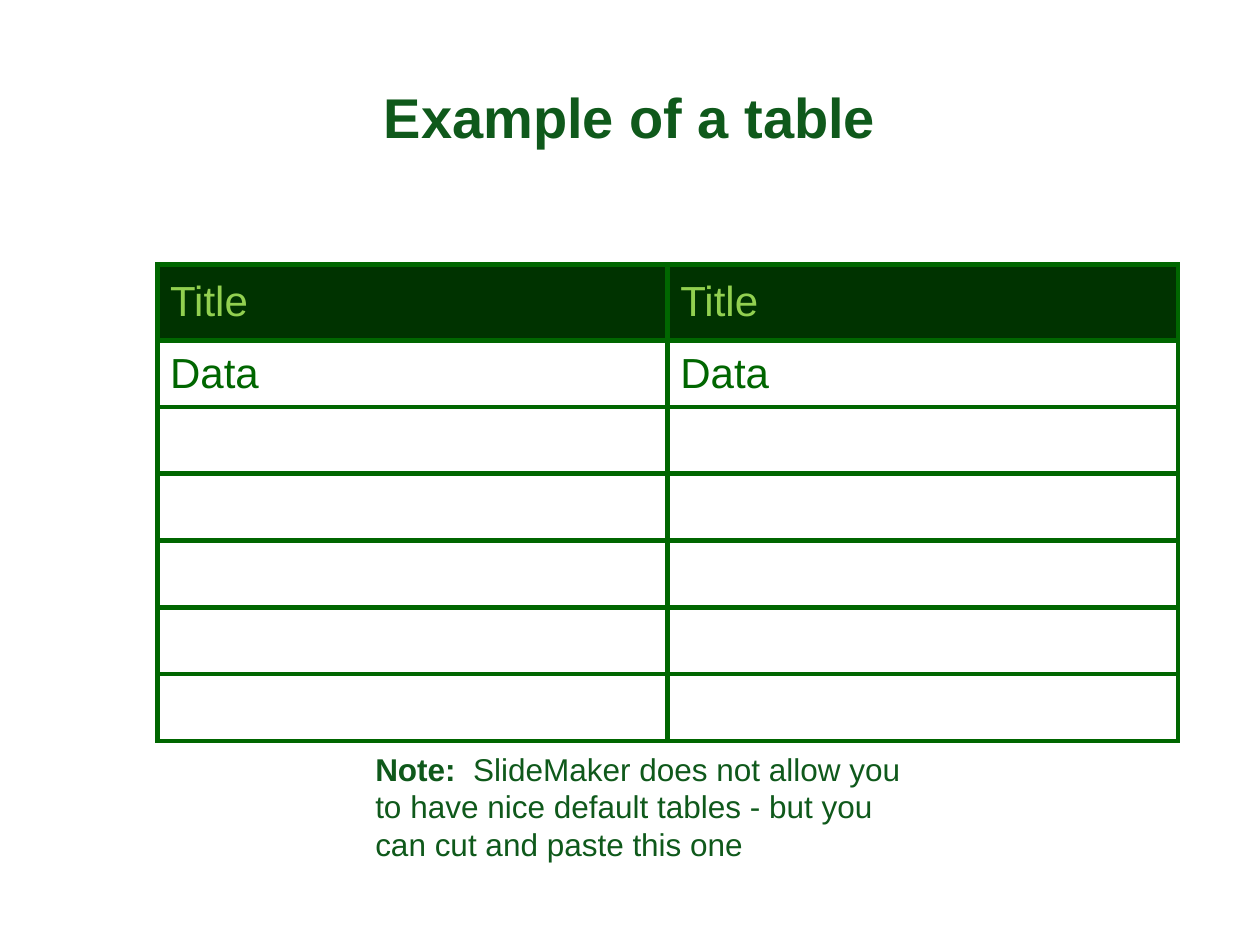
"""Build a slide with a green two-column table, a heading and a note."""
from lxml.etree import SubElement
from pptx import Presentation
from pptx.dml.color import RGBColor
from pptx.enum.text import MSO_ANCHOR, PP_ALIGN
from pptx.oxml.ns import qn
from pptx.util import Inches, Pt

FONT = "Arial"
COLORS = {"text": "0F591B", "header": "003300", "header_text": "92D050",
          "grid": "006600"}
HEADING = [("Example of a table", True)]
NOTE = [
    ("Note:  ", True),
    ("SlideMaker does not allow you to have nice default tables"
     " - but you can cut and paste this one", False),
]
ROWS = [("Title", "Title"), ("Data", "Data")] + [("", "")] * 5
TABLE_BOX = (1.25, 2.1, 8.1, 3.78)
HEADER_HEIGHT, ROW_HEIGHT = 0.6, 0.53
BORDER_WIDTH = 3


def add_run(p, text, size, color, bold=False):
    r = p.add_run()
    r.text = text
    r.font.name = FONT
    r.font.size = Pt(size)
    r.font.bold = bold
    r.font.color.rgb = RGBColor.from_string(COLORS[color])


def add_text(s, box, runs, size, align, anchor):
    tf = s.shapes.add_textbox(*map(Inches, box)).text_frame
    tf.word_wrap = True
    tf.vertical_anchor = anchor
    p = tf.paragraphs[0]
    p.alignment = align
    for text, bold in runs:
        add_run(p, text, size, "text", bold)


def set_borders(cell):
    tc_pr = cell._tc.get_or_add_tcPr()
    for i, side in enumerate(("lnL", "lnR", "lnT", "lnB")):
        ln = tc_pr.makeelement(qn(f"a:{side}"), {"w": str(Pt(BORDER_WIDTH))})
        fill = SubElement(ln, qn("a:solidFill"))
        SubElement(fill, qn("a:srgbClr"), val=COLORS["grid"])
        tc_pr.insert(i, ln)


def add_table(s):
    table = s.shapes.add_table(len(ROWS), len(ROWS[0]),
                               *map(Inches, TABLE_BOX)).table
    table.horz_banding = False
    for col in table.columns:
        col.width = Inches(TABLE_BOX[2] / len(ROWS[0]))
    for i, values in enumerate(ROWS):
        header = i == 0
        table.rows[i].height = Inches(HEADER_HEIGHT if header else ROW_HEIGHT)
        for j, text in enumerate(values):
            cell = table.cell(i, j)
            cell.vertical_anchor = MSO_ANCHOR.MIDDLE
            if header:
                cell.fill.solid()
                cell.fill.fore_color.rgb = RGBColor.from_string(COLORS["header"])
            else:
                cell.fill.background()
            set_borders(cell)
            if text:
                add_run(cell.text_frame.paragraphs[0], text, 24,
                        "header_text" if header else "grid")


def main():
    prs = Presentation()
    prs.slide_width, prs.slide_height = Inches(10), Inches(7.5)
    s = prs.slides.add_slide(prs.slide_layouts[6])
    add_text(s, (0.5, 0.3, 9, 1.25), HEADING, 32,
             PP_ALIGN.CENTER, MSO_ANCHOR.MIDDLE)
    add_table(s)
    add_text(s, (2.88, 5.9, 4.49, 1), NOTE, 18, PP_ALIGN.LEFT, MSO_ANCHOR.TOP)
    prs.save("out.pptx")


if __name__ == "__main__":
    main()
